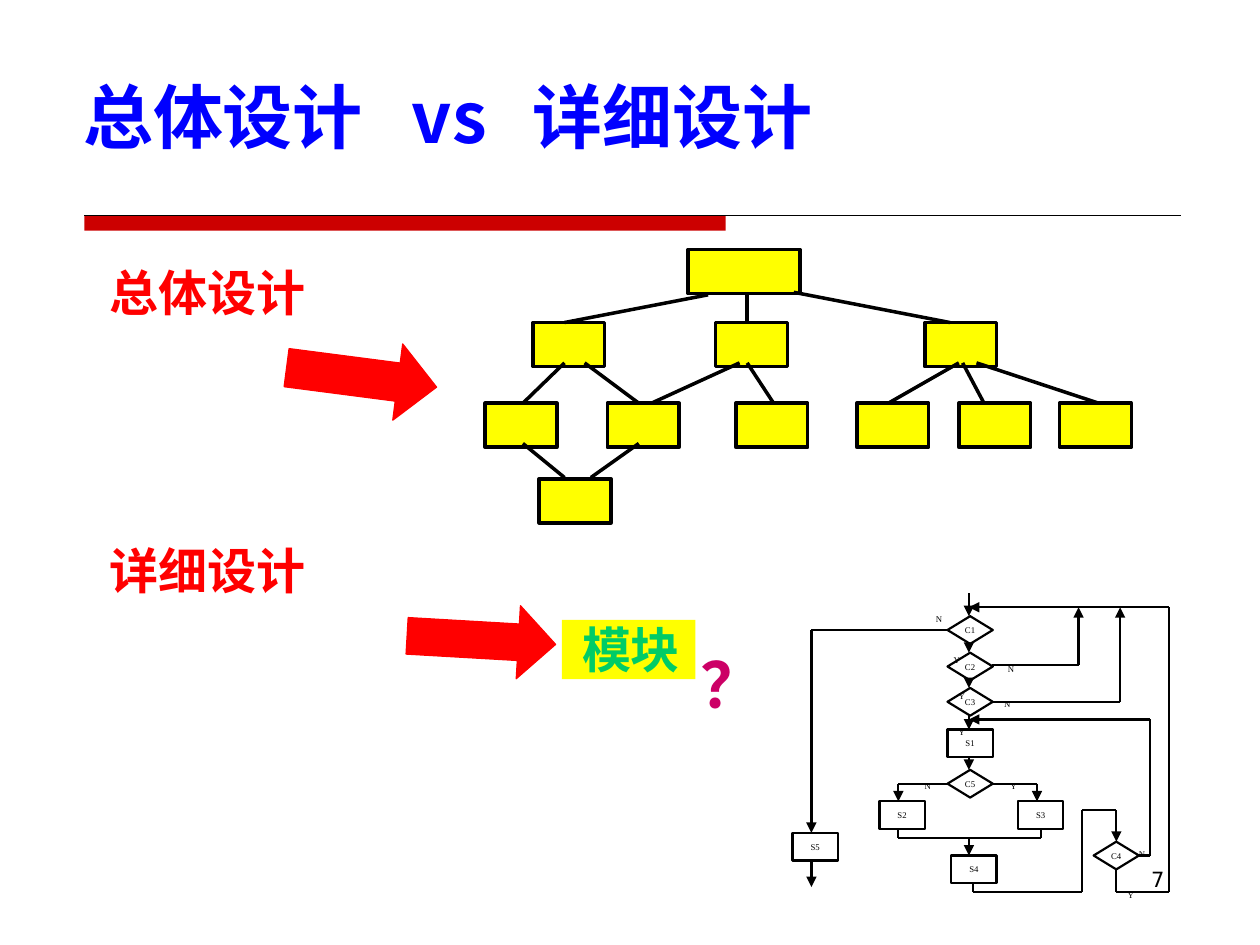
from itertools import pairwise
from lxml import etree
from pptx import Presentation
from pptx.dml.color import RGBColor
from pptx.enum.shapes import MSO_CONNECTOR, MSO_SHAPE
from pptx.enum.text import MSO_ANCHOR, PP_ALIGN
from pptx.oxml.ns import qn
from pptx.util import Inches, Pt

RECTANGLE = MSO_SHAPE.RECTANGLE
PROCESS = MSO_SHAPE.FLOWCHART_PROCESS
DECISION = MSO_SHAPE.FLOWCHART_DECISION
ARROW = MSO_SHAPE.LEFT_ARROW
STRAIGHT = MSO_CONNECTOR.STRAIGHT
TOP, MIDDLE = MSO_ANCHOR.TOP, MSO_ANCHOR.MIDDLE
LEFT, CENTER, RIGHT = PP_ALIGN.LEFT, PP_ALIGN.CENTER, PP_ALIGN.RIGHT
SERIF, HEADING, SANS = "Times New Roman", "Cambria", "Noto Sans CJK SC"
BLACK, RED, YELLOW, CRIMSON = "000000", "FF0000", "FFFF00", "CC0000"
colour = RGBColor.from_string

deck = Presentation()
deck.slide_width, deck.slide_height = Inches(10), Inches(7.5)
COLUMN, ROW = deck.slide_width / 100, deck.slide_height / 75
page = deck.slides.add_slide(deck.slide_layouts[6])


def place(*cells):
    return [round(cell * unit) for cell, unit in zip(cells, (COLUMN, ROW) * 2)]


def write(box, text, size, font, ink, bold=False, align=LEFT, anchor=TOP,
          margins=(0, 0, 0, 0), wrap=True, tabs=()):
    frame = box.text_frame
    frame.word_wrap, frame.vertical_anchor = wrap, anchor
    (frame.margin_left, frame.margin_top,
     frame.margin_right, frame.margin_bottom) = place(*margins)
    para = frame.paragraphs[0]
    para.text, para.alignment = text, align
    if tabs:
        stops = etree.SubElement(para._p.get_or_add_pPr(), qn("a:tabLst"))
        for stop in tabs:
            etree.SubElement(stops, qn("a:tab"), pos=str(round(stop * COLUMN)), algn="l")
    para.font.size, para.font.name, para.font.bold = Pt(size), font, bold
    para.font.color.rgb = colour(ink)


tree_tops = [
    (25.6, [42.3, 56.8, 73.4]),
    (32, [38.5, 48.2, 58.4, 68, 76.1, 84.1]),
    (38, [42.8]),
]
tree_boxes = [(54.6, 19.8, 8.9)] + [
    (left, top, 5.7) for top, lefts in tree_tops for left in lefts]
flow_boxes = [
    (DECISION, "C1", 75.2, 48.9), (DECISION, "C2", 75.2, 51.8),
    (DECISION, "C3", 75.2, 54.6), (PROCESS, "S1", 75.2, 57.9),
    (DECISION, "C5", 75.2, 61.1), (PROCESS, "S2", 69.8, 63.6),
    (PROCESS, "S3", 80.8, 63.6), (PROCESS, "S4", 75.5, 67.9),
    (DECISION, "C4", 86.8, 66.8), (PROCESS, "S5", 62.9, 66.1),
]
arrows = [(22.7, 26.9, 12, 6.1, 187.4), (32.3, 47.9, 11.8, 5.8, 183.3)]

shapes = [(RECTANGLE, (6.7, 17.1, 50.9, 1.2), CRIMSON, None, 0, "", 0),
          (RECTANGLE, (44.6, 49.2, 10.6, 4.7), YELLOW, None, 0, "模块", 0)]
shapes += [(RECTANGLE, (left, top, width, 3.5), YELLOW, BLACK, 2, "", 0)
           for left, top, width in tree_boxes]
shapes += [(kind, (left, top, 3.6, 2.2), None, BLACK, 1.25, name, 0)
           for kind, name, left, top in flow_boxes]
shapes += [(ARROW, cells, RED, RED, 0.75, "", turn) for *cells, turn in arrows]

for kind, cells, fill, edge, width, text, turn in shapes:
    shape = page.shapes.add_shape(kind, *place(*cells))
    shape.shadow.inherit = False
    shape.rotation = turn
    if fill:
        shape.fill.solid()
        shape.fill.fore_color.rgb = colour(fill)
    else:
        shape.fill.background()
    if edge:
        shape.line.color.rgb = colour(edge)
        shape.line.width = Pt(width)
    else:
        shape.line.fill.background()
    if kind == ARROW:
        shape.adjustments[1] = 0.51
    if text and fill:
        write(shape, text, 28, HEADING, "00CC66", True, margins=(1.6, 0, 0, 0))
    elif text:
        write(shape, text, 5, SERIF, BLACK, align=CENTER, anchor=MIDDLE,
              margins=(1, 0.5, 1, 0.5), wrap=False)

tree_links = [
    [(63, 23.2), (75.4, 25.6)], [(56.2, 23.4), (44.8, 25.6)],
    [(59.3, 23.2), (59.3, 25.6)],
    [(44.8, 28.8), (41.5, 32)], [(46.4, 28.8), (50.7, 32)],
    [(58.7, 28.8), (51.7, 32)], [(59.3, 28.8), (61.4, 32)],
    [(76.1, 28.8), (70.5, 32)], [(76.4, 28.8), (78.1, 32)],
    [(77.5, 28.8), (87.2, 32)],
    [(50.7, 35.2), (46.9, 37.9)], [(41.5, 35.2), (44.8, 37.9)],
]
flow_arrows = [[(76.9, start), (76.9, end)] for start, end in [
    (47.1, 48.9), (51, 51.8), (53.9, 54.6), (56.8, 57.9), (60, 61.1), (66.5, 67.9)]]
flow_arrows += [
    [(75.2, 50), (64.4, 50), (64.4, 66.1)],
    [(64.4, 68.3), (64.4, 70.4)],
    [(75.2, 62.2), (71.3, 62.2), (71.3, 63.6)],
    [(78.7, 62.2), (82.3, 62.2), (82.3, 63.6)],
    [(77.2, 70.1), (77.2, 70.8), (85.9, 70.8), (85.9, 64.3), (88.6, 64.3), (88.6, 66.8)],
    [(90.4, 67.9), (91.3, 67.9), (91.3, 57.1), (76.9, 57.1)],
    [(88.6, 69), (88.6, 70.8), (92.8, 70.8), (92.8, 48.2), (76.9, 48.2)],
    [(78.7, 52.8), (85.6, 52.8), (85.6, 48.2)],
    [(78.7, 55.7), (88.9, 55.7), (88.9, 48.2)],
]
flow_join = [(71.3, 65.8), (71.3, 66.5), (82.6, 66.5), (82.6, 65.8)]
routes = [([(6.7, 17.1), (93.7, 17.1)], 0.75, False), (flow_join, 1.25, False)]
routes += [(points, 2, False) for points in tree_links]
routes += [(points, 1.25, True) for points in flow_arrows]

for points, width, pointed in routes:
    for start, end in pairwise(points):
        link = page.shapes.add_connector(STRAIGHT, *place(*start, *end))
        link.line.color.rgb = colour(BLACK)
        link.line.width = Pt(width)
        if pointed and end == points[-1]:
            etree.SubElement(link.line._get_or_add_ln(), qn("a:tailEnd"), type="triangle")
        etree.SubElement(link._element.spPr, qn("a:effectLst"))

branch_labels = [
    ("N", 72.4, 61.5), ("Y", 79.2, 61.5), ("N", 89.4, 66.9), ("Y", 88.5, 70.1),
    ("N", 79, 52.2), ("N", 78.7, 55), ("N", 73.3, 48.2), ("Y", 74.7, 51.5),
    ("Y", 75.1, 54.3), ("Y", 75.1, 57.2),
]
for text, left, top in branch_labels:
    box = page.shapes.add_textbox(*place(left, top, 2.5, 1.8))
    write(box, text, 5, SERIF, BLACK, margins=(1, 0.5, 0, 0.5))

headings = [
    ("总体设计", (8.7, 20.8, 21.2, 4.7), 28, RED),
    ("详细设计", (8.7, 42.9, 21.2, 4.7), 28, RED),
    ("？", (55.6, 51.2, 5.6, 6.1), 36, "CC0066"),
]
for text, cells, size, ink in headings:
    box = page.shapes.add_textbox(*place(*cells))
    write(box, text, size, HEADING, ink, True)

title = page.shapes.add_textbox(*place(6.6, 5, 91.5, 8.3))
write(title, "总体设计\tvs\t详细设计", 40, SANS, "0000FF", True,
      anchor=MIDDLE, tabs=(26.1, 35.7))

number = page.shapes.add_textbox(*place(71.7, 68.3, 21.7, 5.2))
write(number, "7", 12, "DejaVu Sans", BLACK, align=RIGHT, margins=(1, 0.5, 1, 0.5))

deck.save("out.pptx")
